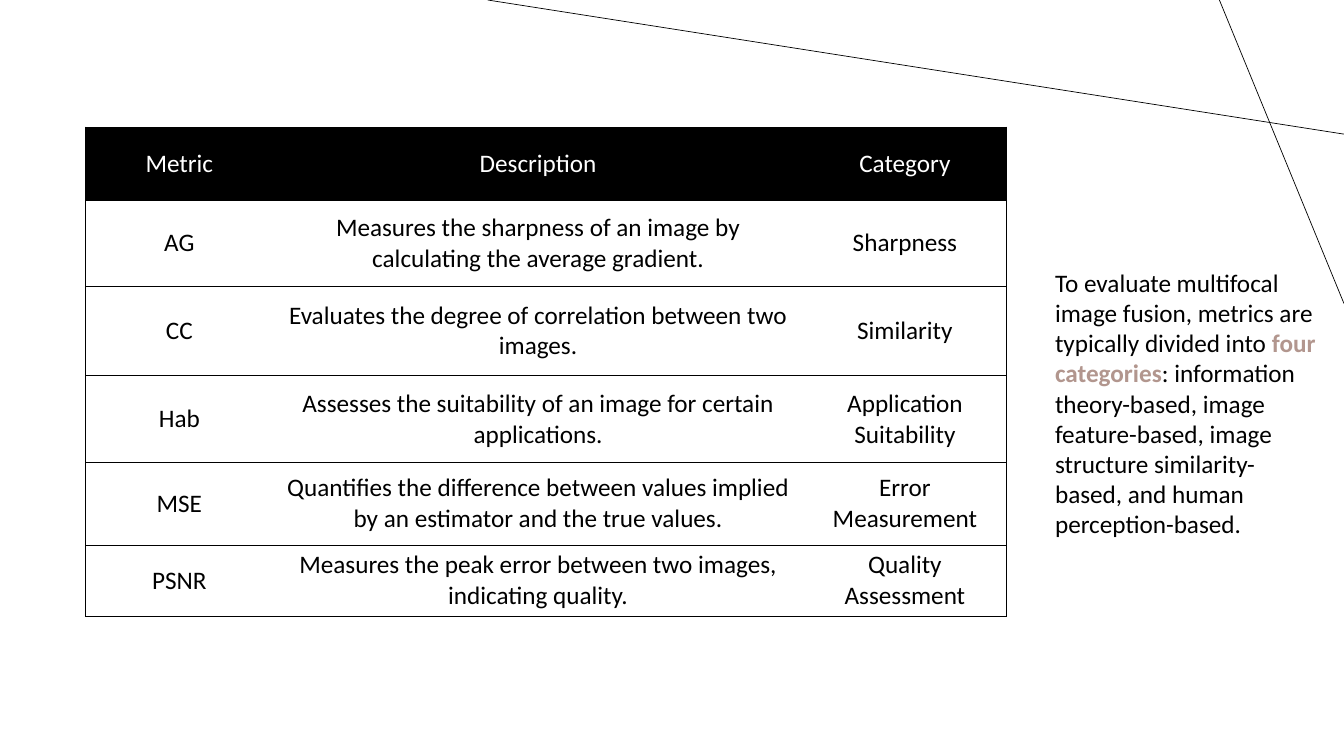
from dataclasses import dataclass

from lxml import etree
from pptx import Presentation
from pptx.dml.color import RGBColor
from pptx.enum import shapes, text
from pptx.oxml import ns
from pptx.util import Cm, Pt


@dataclass(frozen=True)
class Theme:
    """Colours, font and sizes of the slide."""
    ink: str = "000000"
    paper: str = "FFFFFF"
    accent: str = "B2968E"
    font: str = "Calibri"
    size: float = 18
    rule: float = 0.5


THEME = Theme()
ROWS = [
    ("Metric", "Description", "Category"),
    ("AG", "Measures the sharpness of an image by calculating the average gradient.",
     "Sharpness"),
    ("CC", "Evaluates the degree of correlation between two images.", "Similarity"),
    ("Hab", "Assesses the suitability of an image for certain applications.",
     "Application Suitability"),
    ("MSE", "Quantifies the difference between values implied by an estimator "
     "and the true values.", "Error Measurement"),
    ("PSNR", "Measures the peak error between two images, indicating quality.",
     "Quality Assessment"),
]
COL_WIDTHS = (4.72, 13.36, 5.13)
ROW_HEIGHTS = (1.85, 2.16, 2.26, 2.18, 2.08, 1.8)
NOTE = [
    ("To evaluate multifocal image fusion, metrics are typically divided into ",
     THEME.ink, False),
    ("four categories", THEME.accent, True),
    (": information theory-based, image feature-based, image structure "
     "similarity-based, and human perception-based.", THEME.ink, False),
]
LINES = [(33.87, 3.38, 12.29, 0), (30.73, 0, 33.87, 7.65)]


def add_run(p, words, color, bold=False):
    """Add a formatted run to a paragraph."""
    r = p.add_run()
    r.text = words
    for name, value in {"name": THEME.font, "size": Pt(THEME.size), "bold": bold}.items():
        setattr(r.font, name, value)
    r.font.color.rgb = RGBColor.from_string(color)


def add_line(s, x1, y1, x2, y2):
    """Draw a thin decorative line."""
    line = s.shapes.add_connector(
        shapes.MSO_CONNECTOR.STRAIGHT, Cm(x1), Cm(y1), Cm(x2), Cm(y2))
    line.line.color.rgb = RGBColor.from_string(THEME.ink)
    line.line.width = Pt(THEME.rule)
    etree.SubElement(line._element.spPr, ns.qn("a:effectLst"))


def add_note(s, left, top, width, height):
    """Add the text beside the table."""
    tf = s.shapes.add_textbox(Cm(left), Cm(top), Cm(width), Cm(height)).text_frame
    tf.word_wrap = True
    for words, color, bold in NOTE:
        add_run(tf.paragraphs[0], words, color, bold)


def set_borders(cell, visible):
    """Rule the named sides of a cell and clear the others."""
    tcPr = cell._tc.get_or_add_tcPr()
    for i, side in enumerate("LRTB"):
        ln = etree.Element(ns.qn(f"a:ln{side}"), w=str(Pt(THEME.rule)))
        if side in visible:
            fill = etree.SubElement(ln, ns.qn("a:solidFill"))
            etree.SubElement(fill, ns.qn("a:srgbClr"), val=THEME.ink)
        else:
            etree.SubElement(ln, ns.qn("a:noFill"))
        tcPr.insert(i, ln)


def fill_cell(cell, words, header, borders):
    """Write and format one table cell."""
    cell.vertical_anchor = text.MSO_ANCHOR.MIDDLE
    cell.fill.solid()
    cell.fill.fore_color.rgb = RGBColor.from_string(THEME.ink if header else THEME.paper)
    p = cell.text_frame.paragraphs[0]
    p.alignment = text.PP_ALIGN.CENTER
    add_run(p, words, THEME.paper if header else THEME.ink)
    set_borders(cell, borders)


def add_metrics_table(s, left, top):
    """Add the table of metrics."""
    table = s.shapes.add_table(
        len(ROWS), len(COL_WIDTHS), Cm(left), Cm(top),
        Cm(sum(COL_WIDTHS)), Cm(sum(ROW_HEIGHTS))).table
    table.horz_banding = False
    for col, width in zip(table.columns, COL_WIDTHS):
        col.width = Cm(width)
    for row, height in zip(table.rows, ROW_HEIGHTS):
        row.height = Cm(height)
    sides = ("LTB", "TB", "RTB")
    for i, row in enumerate(ROWS):
        for j, words in enumerate(row):
            fill_cell(table.cell(i, j), words, i == 0, sides[j])


def main():
    """Build the slide and save it."""
    prs = Presentation()
    prs.slide_width, prs.slide_height = Cm(33.87), Cm(19.05)
    s = prs.slides.add_slide(prs.slide_layouts[6])
    for ends in LINES:
        add_line(s, *ends)
    add_note(s, 26.34, 6.6, 7.21, 9.47)
    add_metrics_table(s, 2.16, 3.2)
    prs.save("out.pptx")


if __name__ == "__main__":
    main()
